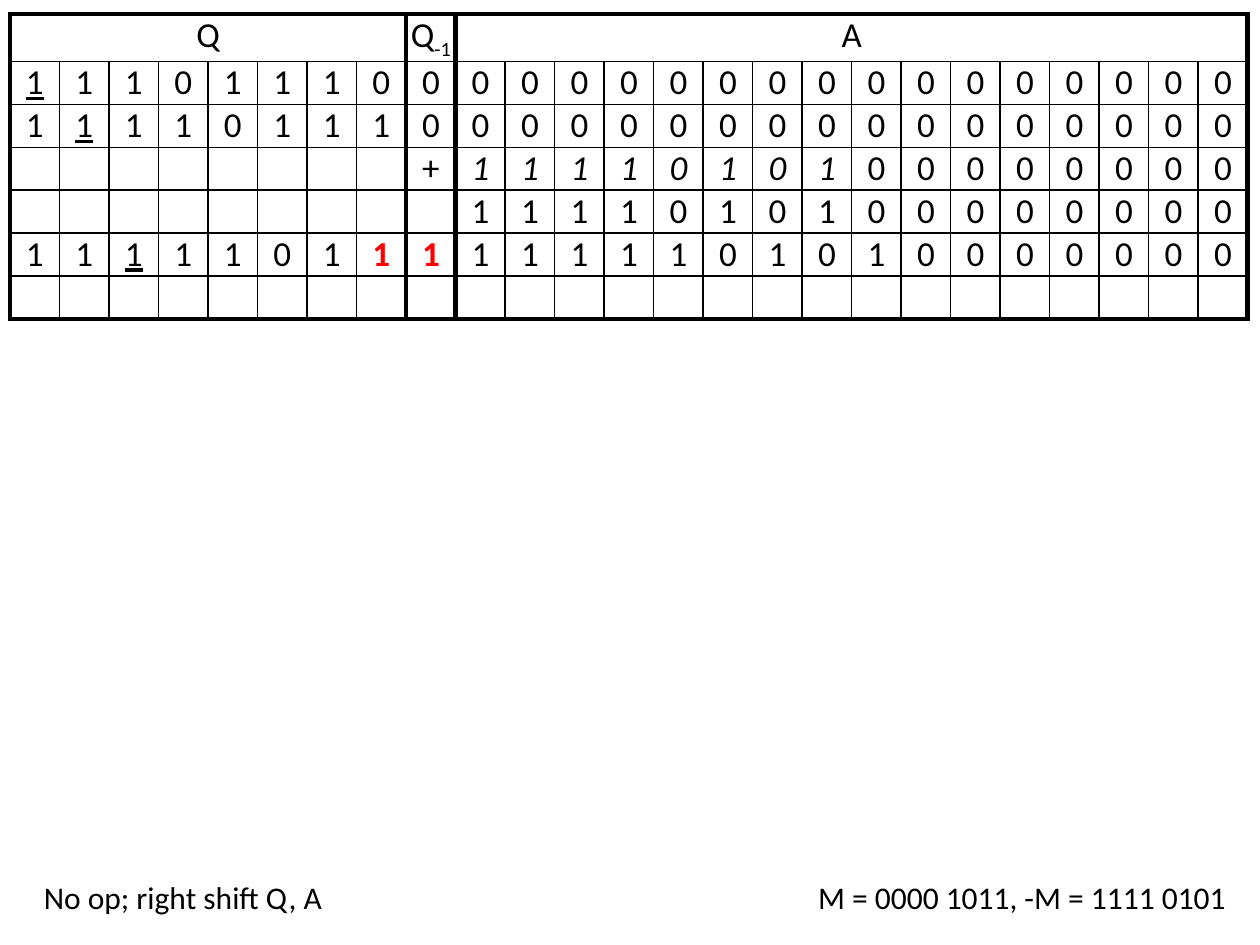
from lxml import etree
from pptx import Presentation
from pptx.dml.color import RGBColor
from pptx.enum.text import PP_ALIGN
from pptx.oxml.ns import qn
from pptx.util import Inches, Pt

LEFT, CENTER, RIGHT = PP_ALIGN.LEFT, PP_ALIGN.CENTER, PP_ALIGN.RIGHT
BLACK = RGBColor(0x00, 0x00, 0x00)
RED = RGBColor(0xFF, 0x00, 0x00)
FONT = "Calibri"
THIN, THICK = Pt(1), Pt(3)

Q_BITS, A_BITS = 8, 16
COLUMNS = Q_BITS + 1 + A_BITS
HEADINGS = [(0, Q_BITS, "Q", ""), (Q_BITS, 1, "Q", "-1"), (Q_BITS + 1, A_BITS, "A", "")]
THICK_COLUMNS = {0, Q_BITS, Q_BITS + 1, COLUMNS}
STEPS = [
    ("11101110", "0", "0000000000000000"),
    ("11110111", "0", "0000000000000000"),
    (" " * Q_BITS, "+", "1111010100000000"),
    (" " * Q_BITS, " ", "1111010100000000"),
    ("11111011", "1", "1111101010000000"),
    (" " * Q_BITS, " ", " " * A_BITS),
]
ROWS = len(STEPS) + 1
UNDERLINE, ITALIC = {"underline": True}, {"italic": True}
CHANGED = {"bold": True, "color": RED}
STYLES = {(1, 0): UNDERLINE, (2, 1): UNDERLINE, (5, 2): UNDERLINE,
          (5, 7): CHANGED, (5, 8): CHANGED}
STYLES.update({(3, column): ITALIC for column in range(9, 17)})


def add_span(para, text, size, color=BLACK, **styles):
    span = para.add_run()
    span.text = text
    span.font.color.rgb = color
    for name, value in {"name": FONT, "size": Pt(size), **styles}.items():
        setattr(span.font, name, value)
    return span


def set_border(cell, side, width):
    line = etree.SubElement(cell._tc.get_or_add_tcPr(), qn("a:ln" + side), w=str(width))
    fill = etree.SubElement(line, qn("a:solidFill"))
    etree.SubElement(fill, qn("a:srgbClr"), val=str(BLACK))


def format_cell(cell, row, column, columns=1):
    for name in ("left", "right", "top", "bottom"):
        setattr(cell, "margin_" + name, 0)
    edges = {
        "L": column in THICK_COLUMNS,
        "R": column + columns in THICK_COLUMNS,
        "T": row == 0,
        "B": row == ROWS - 1,
    }
    for side, thick in edges.items():
        set_border(cell, side, THICK if thick else THIN)
    cell.fill.background()
    para = cell.text_frame.paragraphs[0]
    para.alignment = CENTER
    return para


def add_register_table(page, left, top, width, height):
    frame = page.shapes.add_table(ROWS, COLUMNS, Inches(left), Inches(top),
                                  Inches(width), Inches(height))
    table = frame.table
    table.first_row = table.horz_banding = False
    for column in table.columns:
        column.width = Inches(width / COLUMNS)
    for row in table.rows:
        row.height = Inches(height / ROWS)

    for start, count, name, subscript in HEADINGS:
        cell = table.cell(0, start)
        if count > 1:
            cell.merge(table.cell(0, start + count - 1))
        para = format_cell(cell, 0, start, count)
        add_span(para, name, 20)
        if subscript:
            span = add_span(para, subscript, 20)
            span.font._element.set("baseline", "-25000")

    for row, step in enumerate(STEPS, 1):
        for column, bit in enumerate("".join(step)):
            para = format_cell(table.cell(row, column), row, column)
            if bit == " ":
                etree.SubElement(para._p, qn("a:endParaRPr"), sz="2000")
            else:
                add_span(para, bit, 20, **STYLES.get((row, column), {}))


def add_note(page, left, top, width, height, text, alignment):
    box = page.shapes.add_textbox(Inches(left), Inches(top), Inches(width), Inches(height))
    box.text_frame.word_wrap = True
    para = box.text_frame.paragraphs[0]
    para.alignment = alignment
    add_span(para, text, 18)


deck = Presentation()
deck.slide_width, deck.slide_height = Inches(10), Inches(7.5)
page = deck.slides.add_slide(deck.slide_layouts[6])
add_register_table(page, 0.08, 0.11, 9.83, 2.33)
add_note(page, 6, 6.92, 3.83, 0.4, "M = 0000 1011, -M = 1111 0101", RIGHT)
add_note(page, 0.25, 6.92, 3.83, 0.4, "No op; right shift Q, A", LEFT)
deck.save("out.pptx")
